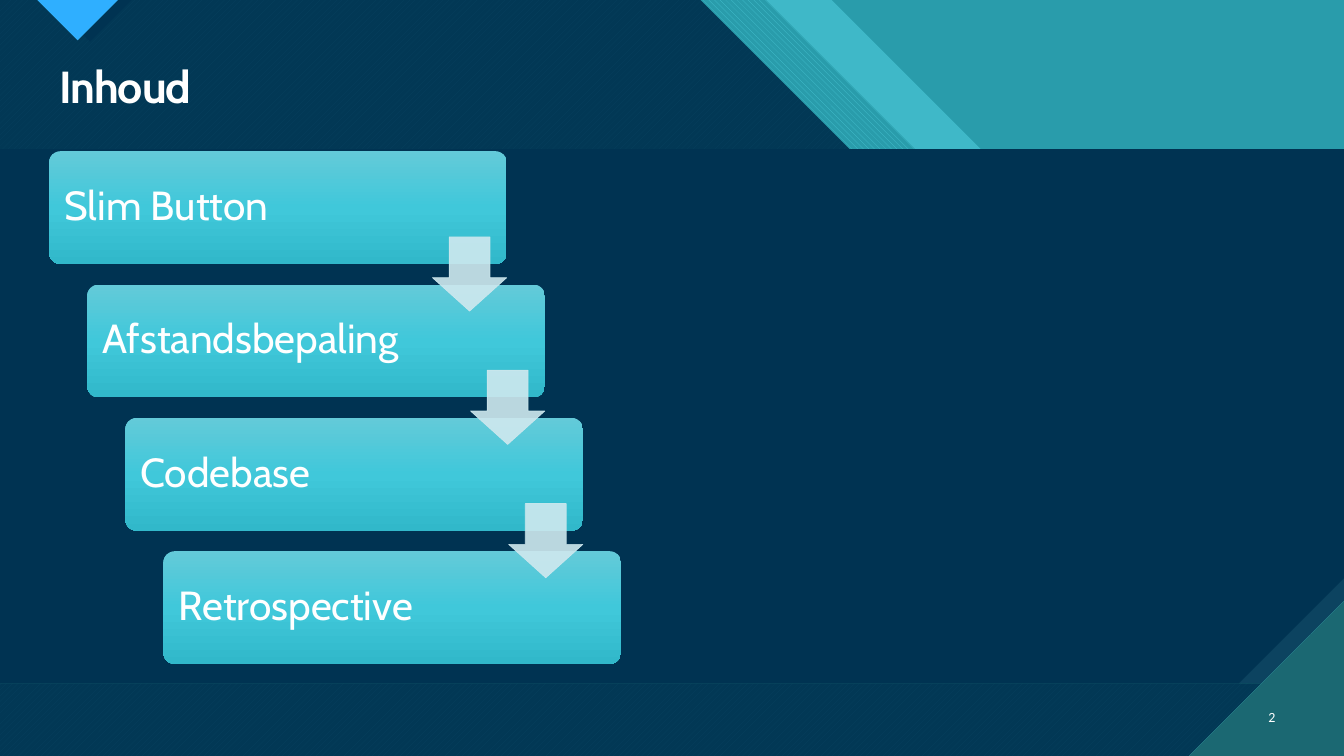
import copy

import pptx
import pptx.dml.color
import pptx.enum.dml
import pptx.enum.shapes
import pptx.enum.text
import pptx.oxml
import pptx.oxml.ns
import pptx.util

Cm = pptx.util.Cm
qn = pptx.oxml.ns.qn
SHAPES = pptx.enum.shapes.MSO_SHAPE
PATTERNS = pptx.enum.dml.MSO_PATTERN
ALIGN = pptx.enum.text.PP_ALIGN
COLORS = {
    "aqua": "47C3D3", "teal": "299CAB", "deep_teal": "1B6872",
    "navy": "003352", "slate": "0C4360", "blue": "2FAFFF",
    "card_top": "63CAD9", "card_middle": "40C8DA", "card_bottom": "31B8CA",
    "arrow": "CFE9EF", "white": "FFFFFF",
}
WIDTH, HEIGHT = 33.87, 19.05
STEPS = ["Slim Button", "Afstandsbepaling", "Codebase", "Retrospective"]


def rgb(name):
    return pptx.dml.color.RGBColor.from_string(COLORS[name])


def paint(shape, color, back=None, pattern=None, opacity=None):
    """Fill a shape with a plain colour or a two-colour pattern."""
    shape.shadow.inherit = False
    shape.line.fill.background()
    if pattern is None:
        shape.fill.solid()
        shape.fill.fore_color.rgb = rgb(color)
    else:
        shape.fill.patterned()
        shape.fill.pattern = pattern
        shape.fill.fore_color.rgb = rgb(color)
        shape.fill.back_color.rgb = rgb(back)
    if opacity is not None:
        fade(shape, opacity)


def fade(shape, opacity):
    for color in shape.element.spPr.iter(qn("a:srgbClr")):
        alpha = pptx.oxml.parse_xml(
            '<a:alpha xmlns:a="http://schemas.openxmlformats.org/drawingml/2006/main"'
            f' val="{opacity * 1000}"/>')
        color.append(alpha)


def add_box(page, kind, left, top, width, height):
    return page.shapes.add_shape(kind, Cm(left), Cm(top), Cm(width), Cm(height))


def add_polygon(page, points):
    corners = [(Cm(x), Cm(y)) for x, y in points]
    builder = page.shapes.build_freeform(*corners[0], scale=1.0)
    builder.add_line_segments(corners[1:], close=True)
    return builder.convert_to_shape()


def write(shape, text, font, size, bold=False, align=ALIGN.LEFT, spacing=0.9):
    frame = shape.text_frame
    frame.word_wrap = True
    frame.vertical_anchor = pptx.enum.text.MSO_ANCHOR.MIDDLE
    para = frame.paragraphs[0]
    para.text = text
    para.alignment = align
    para.line_spacing = spacing
    para.font.name = font
    para.font.size = pptx.util.Pt(size)
    para.font.bold = bold
    para.font.color.rgb = rgb("white")


def add_backdrop(page, width, height):
    """Diagonal bands, each reaching from the top edge to the right edge."""
    paint(add_box(page, SHAPES.RECTANGLE, 0, 0, width, height), "teal")
    drop = 7.54
    bands = [
        (20.96, 31.34, dict(color="aqua", opacity=74)),
        (19.3, 30.07, dict(color="aqua", back="teal",
                           pattern=PATTERNS.WIDE_DOWNWARD_DIAGONAL)),
        (17.65, 28.4, dict(color="aqua", back="deep_teal",
                           pattern=PATTERNS.WIDE_UPWARD_DIAGONAL)),
        (17.65, 28.4, dict(color="navy", opacity=90)),
    ]
    for start, ledge, style in bands:
        band = add_polygon(page, [
            (0, 0), (start, 0), (start + drop, drop), (ledge, drop),
            (width, drop + width - ledge), (width, height), (0, height)])
        paint(band, **style)


def add_notch(page, left, top, width):
    """Blue pointer at the top edge with a dark one behind it."""
    for offset, span, style in [
        (0.28, width + 0.07, dict(color="navy")),
        (0, width, dict(color="blue", back="deep_teal",
                        pattern=PATTERNS.DARK_HORIZONTAL)),
    ]:
        x = left + offset
        pointer = add_polygon(page, [
            (x, top), (x + span, top), (x + span / 2, top + span / 2)])
        paint(pointer, **style)


def add_panel(page, left, top, width, height):
    """Content panel with its lower right corner cut off."""
    back = add_box(page, SHAPES.RECTANGLE, left, top, width, height)
    paint(back, "slate", "deep_teal", PATTERNS.DARK_VERTICAL)
    cut = 0.197 * height
    right, bottom = left + width, top + height
    front = add_polygon(page, [
        (left, top), (right, top), (right, bottom - cut),
        (right - cut, bottom), (left, bottom)])
    paint(front, "navy")


def add_corner(page, right, bottom, side):
    corner = add_polygon(page, [
        (right - side, bottom), (right, bottom), (right, bottom - side)])
    paint(corner, "deep_teal", "aqua", PATTERNS.DARK_HORIZONTAL)


def add_title(page, text, left, top, width, height):
    box = page.shapes.add_textbox(Cm(left), Cm(top), Cm(width), Cm(height))
    write(box, text, "Cabin", 32, bold=True)
    for properties in box.element.iter(qn("a:defRPr")):
        properties.set("spc", "-70")


def add_page_number(page, text, left, top, width, height):
    box = page.shapes.add_textbox(Cm(left), Cm(top), Cm(width), Cm(height))
    write(box, text, "Calibri", 10, align=ALIGN.RIGHT, spacing=1.0)


def add_card(page, text, left, top, width, height):
    card = add_box(page, SHAPES.ROUNDED_RECTANGLE, left, top, width, height)
    card.adjustments[0] = 0.1
    card.shadow.inherit = False
    card.line.fill.background()
    card.fill.gradient()
    card.fill.gradient_angle = 270
    stop_list = next(card.element.iter(qn("a:gsLst")))
    stop_list.append(copy.deepcopy(stop_list[0]))
    names = ["card_top", "card_middle", "card_bottom"]
    for index, (stop, name) in enumerate(zip(card.fill.gradient_stops, names)):
        stop.position = index / 2
        stop.color.rgb = rgb(name)
    card.text_frame.margin_left = Cm(0.3)
    write(card, text, "Cabin", 29)


def add_arrow(page, left, top, side):
    arrow = add_box(page, SHAPES.DOWN_ARROW, left, top, side, side)
    arrow.adjustments[0] = 0.55
    arrow.adjustments[1] = 0.45
    paint(arrow, "arrow")
    arrow.line.color.rgb = rgb("arrow")
    arrow.line.width = pptx.util.Pt(0.5)
    fade(arrow, 90)


def add_staircase(page, steps, left, top, width, height):
    """Cards stepping down to the right, with an arrow between neighbours."""
    shift, pitch = 0.96, 3.36
    last = len(steps) - 1
    card_width = width - last * shift
    card_height = height - last * pitch
    for index, text in enumerate(steps):
        add_card(page, text, left + index * shift, top + index * pitch,
                 card_width, card_height)
    for index in range(last):
        add_arrow(page, left + 9.66 + index * shift,
                  top + 2.16 + index * pitch, 1.87)


def main():
    deck = pptx.Presentation()
    deck.slide_width, deck.slide_height = Cm(WIDTH), Cm(HEIGHT)
    page = deck.slides.add_slide(deck.slide_layouts[6])
    page.background.fill.solid()
    page.background.fill.fore_color.rgb = rgb("aqua")

    # Decoration
    add_backdrop(page, WIDTH, HEIGHT)
    add_notch(page, 0.94, 0, 2.03)
    add_panel(page, 0, 3.76, WIDTH, 13.46)
    add_corner(page, WIDTH, HEIGHT, 3.91)

    # Content
    add_title(page, "Inhoud", 1.24, 1.5, 32.38, 1.5)
    add_page_number(page, "2", 31.27, 17.55, 1.12, 1.02)
    add_staircase(page, STEPS, 1.24, 3.81, 14.41, 12.92)

    deck.save("out.pptx")


if __name__ == "__main__":
    main()
